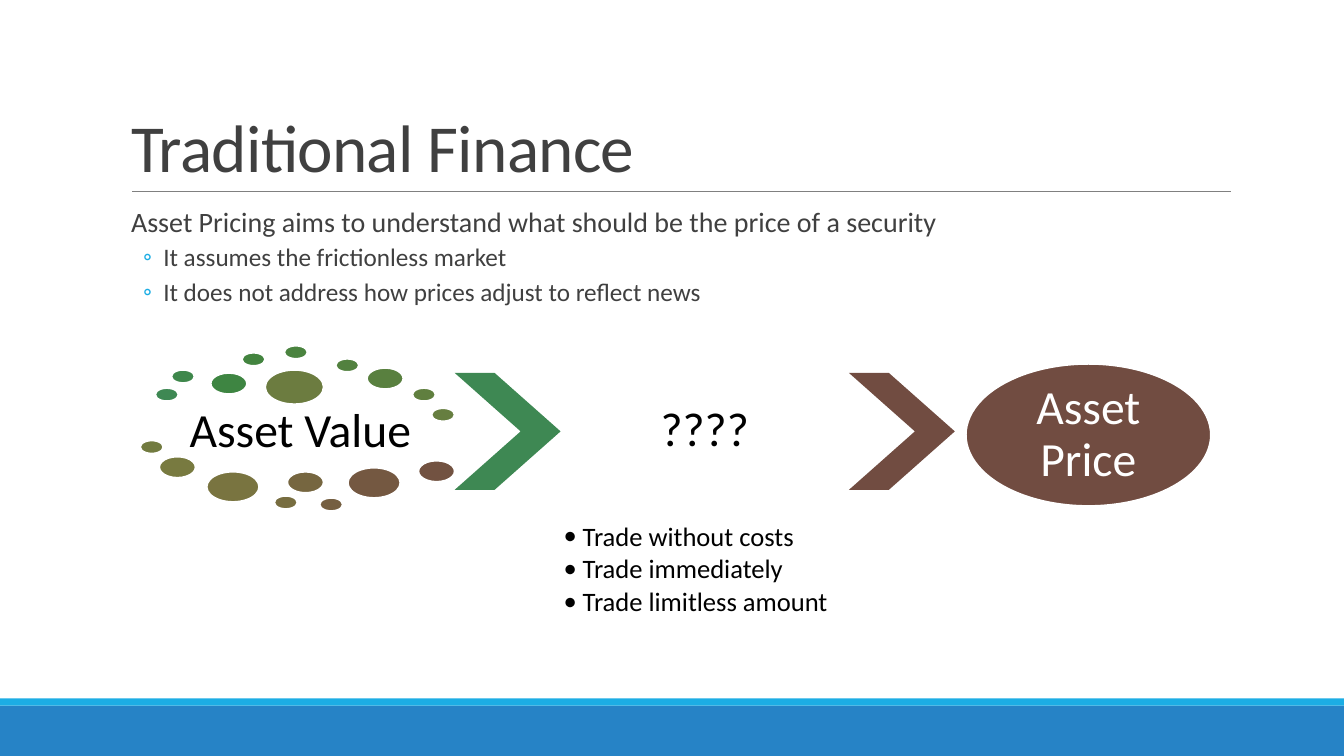
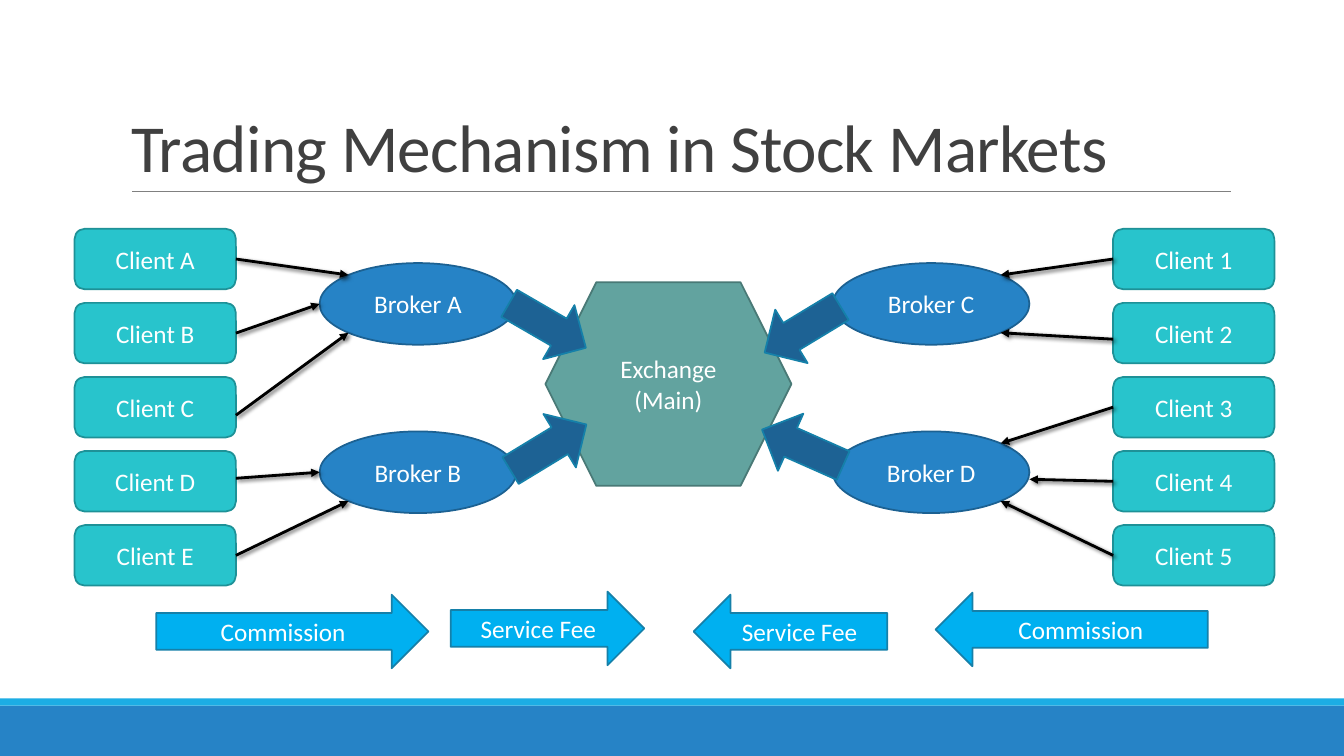
from collections import namedtuple
from math import sqrt

from lxml import etree
from pptx import Presentation
from pptx.dml.color import RGBColor
from pptx.enum import shapes as kinds, text as layout
from pptx.oxml import ns
from pptx.util import Inches, Pt

Box = namedtuple("Box", "x y w h")
KIND = kinds.MSO_SHAPE
ALIGN = layout.PP_ALIGN
ANCHOR = layout.MSO_ANCHOR

PAGE = Box(0, 0, 13.33, 7.5)
CONTENT = Box(1.2, 2.02, 11, 4.4)
FONT = "Calibri"
BLUE, SKY, GREY, INK = "2683C6", "1CADE4", "808080", "404040"
BLACK, WHITE, GREEN, BROWN = "000000", "FFFFFF", "3E8853", "714C41"
ARROW_EDGE = "1580A9"
CENTRED = dict(alignment=ALIGN.CENTER)
TIGHT = dict(alignment=ALIGN.CENTER, line_spacing=0.9)

DOT_SIZES = dict(s=(0.23, 0.13), m=(0.36, 0.21), l=(0.52, 0.3), xl=(0.58, 0.34))
DOTS = [
    (0.15, 0.42, "s", "3E8853"), (0.31, 0.24, "s", "3E874B"),
    (0.7, 0.27, "m", "3E8542"), (1.01, 0.07, "s", "43843F"),
    (1.43, 0, "s", "4A833F"), (1.94, 0.13, "s", "52813F"),
    (2.25, 0.22, "m", "59803F"), (2.7, 0.42, "s", "607F3F"),
    (2.89, 0.62, "s", "667E40"), (1.24, 0.24, "xl", "6C7C40"),
    (0, 0.94, "s", "727B40"), (0.19, 1.1, "m", "787A40"),
    (0.66, 1.25, "l", "797440"), (1.33, 1.49, "s", "776D40"),
    (1.46, 1.25, "m", "766640"), (1.78, 1.51, "s", "755F41"),
    (2.06, 1.21, "l", "745841"), (2.76, 1.14, "m", "725241"),
]


def colour(hex_code):
    return RGBColor.from_string(hex_code)


def inside(box, x, y, w, h):
    return Box(box.x + x, box.y + y, w, h)


def lengths(box):
    return [Inches(value) for value in box]


def apply(target, values):
    for key, value in values.items():
        setattr(target, key, value)


def write(holder, lines, size, ink=WHITE, anchor=ANCHOR.MIDDLE, inset=(0.1, 0.05), style=CENTRED):
    frame = holder.text_frame
    across, down = map(Inches, inset)
    apply(frame, dict(word_wrap=True, auto_size=layout.MSO_AUTO_SIZE.NONE,
                      vertical_anchor=anchor, margin_left=across,
                      margin_right=across, margin_top=down, margin_bottom=down))
    for index, line in enumerate(lines):
        paragraph = frame.paragraphs[0] if index == 0 else frame.add_paragraph()
        apply(paragraph, style)
        run = paragraph.add_run()
        run.text = line
        apply(run.font, dict(name=FONT, size=Pt(size)))
        run.font.color.rgb = colour(ink)
    return frame.paragraphs


def bullet(paragraph, sign, left, hang, ink):
    paragraph.level = 1
    props = paragraph._p.get_or_add_pPr()
    props.set("marL", str(Inches(left)))
    props.set("indent", str(-Inches(hang)))
    tint = etree.SubElement(props, ns.qn("a:buClr"))
    etree.SubElement(tint, ns.qn("a:srgbClr"), val=ink)
    etree.SubElement(props, ns.qn("a:buFont"), typeface=FONT)
    etree.SubElement(props, ns.qn("a:buChar"), char=sign)


def draw(canvas, kind, box, fill, edge=None, label=(), size=18, **text_format):
    part = canvas.add_shape(kind, *lengths(box))
    part.shadow.inherit = False
    part.fill.solid()
    part.fill.fore_color.rgb = colour(fill)
    if edge:
        part.line.color.rgb = colour(edge)
        part.line.width = Pt(1.25)
    else:
        part.line.fill.background()
    if label:
        write(part, label, size, **text_format)
    return part


def connect(canvas, start, end, ink, width):
    link = canvas.add_connector(kinds.MSO_CONNECTOR.STRAIGHT,
                                *map(Inches, (*start, *end)))
    link.line.color.rgb = colour(ink)
    link.line.width = Pt(width)
    effects = etree.SubElement(link.element.spPr, ns.qn("a:effectLst"))
    return link, effects


def shadowed_arrow(canvas, start, end):
    link, effects = connect(canvas, start, end, BLACK, 2)
    etree.SubElement(link.get_or_add_ln(), ns.qn("a:tailEnd"), type="triangle")
    shadow = etree.SubElement(effects, ns.qn("a:outerShdw"), blurRad=str(Pt(3)),
                              dist=str(Pt(2)), dir="2700000", rotWithShape="0")
    tint = etree.SubElement(shadow, ns.qn("a:srgbClr"), val=BLACK)
    etree.SubElement(tint, ns.qn("a:alpha"), val="60000")
    return link


def titled_slide(deck, heading):
    slide = deck.slides.add_slide(deck.slide_layouts[5])
    draw(slide.shapes, KIND.RECTANGLE, inside(PAGE, 0, 7, PAGE.w, 0.5), BLUE)
    draw(slide.shapes, KIND.RECTANGLE, inside(PAGE, 0, 6.93, PAGE.w, 0.07), SKY)
    connect(slide.shapes, (1.31, 1.9), (12.21, 1.9), GREY, 0.5)
    title = slide.shapes.title
    left, top, width, height = lengths(Box(1.2, 0.31, 11, 1.59))
    apply(title, dict(left=left, top=top, width=width, height=height))
    lines = write(title, [heading], 48, INK, ANCHOR.BOTTOM,
                  style=dict(alignment=ALIGN.LEFT, line_spacing=0.85))
    lines[0].runs[0].font._element.set("spc", "-50")
    return slide


def outline(canvas, box, lead, points):
    body = canvas.add_textbox(*lengths(box))
    lines = write(body, [lead, *points], 20, INK, ANCHOR.TOP, (0, 0.05),
                  dict(alignment=ALIGN.LEFT, line_spacing=0.9))
    lines[0].space_after = Pt(2)
    lines[0]._p.get_or_add_pPr().set("marL", str(Inches(0.1)))
    for point in lines[1:]:
        apply(point, dict(space_before=Pt(2), space_after=Pt(4)))
        point.runs[0].font.size = Pt(18)
        bullet(point, "◦", 0.42, 0.2, SKY)


def stage_label(canvas, box, label):
    write(canvas.add_textbox(*lengths(box)), [label], 34, BLACK,
          inset=(0.05, 0.05), style=TIGHT)


def value_cloud(canvas, box):
    stage_label(canvas, inside(box, 0.16, 0.59, 2.86, 0.54), "Asset Value")
    for x, y, size, fill in DOTS:
        draw(canvas, KIND.OVAL, inside(box, x, y, *DOT_SIZES[size]), fill, WHITE)


def pricing_process(canvas, box):
    value_cloud(canvas, inside(box, 0, 0, 3.12, 1.64))
    for x, fill in ((3.12, GREEN), (7.03, BROWN)):
        chevron = draw(canvas, KIND.CHEVRON, inside(box, x, 0.27, 1.05, 1.16), fill)
        chevron.adjustments[0] = 0.623
    stage_label(canvas, inside(box, 4.17, 0.27, 2.86, 1.16), "????")
    notes = canvas.add_textbox(*lengths(inside(box, 4.17, 1.73, 2.86, 1.02)))
    for line in write(notes, ["Trade without costs", "Trade immediately",
                              "Trade limitless amount"],
                      19, BLACK, ANCHOR.TOP, (0.03, 0.03),
                      dict(line_spacing=0.9, space_after=Pt(2.85))):
        bullet(line, "•", 0.19, 0.19, BLACK)
    draw(canvas, KIND.OVAL, inside(box, 8.19, 0.18, 2.43, 1.41), BROWN, WHITE,
         ["Asset Price"], 34, inset=(0, 0), style=TIGHT)


def client_column(canvas, box, names):
    height = 0.6
    pitch = (box.h - height) / (len(names) - 1)
    return [(draw(canvas, KIND.ROUNDED_RECTANGLE, place, "28C4CC", "1E9197",
                  [f"Client {name}"]), place)
            for row, name in enumerate(names)
            for place in [inside(box, 0, row * pitch, box.w, height)]]


def broker_column(canvas, box, names):
    places = [inside(box, 0, row * 1.67, box.w, 0.81) for row in range(len(names))]
    for place, name in zip(places, names):
        draw(canvas, KIND.OVAL, place, BLUE, "1C6192", [f"Broker {name}"])
    return places


def link_orders(canvas, clients, brokers, routes, side):
    for (client, place), (broker, port, start_shift, end_shift) in zip(clients, routes):
        oval = brokers[broker]
        reach = 1 / sqrt(2) if port else 1
        start = (place.x + (place.w if side < 0 else 0),
                 place.y + place.h / 2 + start_shift)
        end = (oval.x + oval.w / 2 + side * reach * oval.w / 2,
               oval.y + oval.h / 2 + port * reach * oval.h / 2 + end_shift)
        link = shadowed_arrow(canvas, start, end)
        if not start_shift:
            link.begin_connect(client, 3 if side < 0 else 1)


def market_map(canvas, box):
    client_w, broker_w, broker_x = 1.6, 1.95, 2.43
    sides = [
        (-1, 0, broker_x, "ABCDE", "AB",
         [(0, -1, 0, 0), (0, 0, 0, 0), (0, 1, 0.08, 0),
          (1, 0, -0.03, 0), (1, 1, 0, 0)]),
        (1, box.w - client_w, box.w - broker_x - broker_w, "12345", "CD",
         [(0, -1, 0, 0), (0, 1, 0.06, 0), (1, -1, 0, 0),
          (1, 0, 0, 0.07), (1, 1, 0, 0)]),
    ]
    orders = []
    for side, client_x, oval_x, client_names, broker_names, routes in sides:
        clients = client_column(canvas, inside(box, client_x, 0, client_w, box.h),
                                client_names)
        brokers = broker_column(canvas, inside(box, oval_x, 0.34, broker_w, 2.48),
                                broker_names)
        orders.append((clients, brokers, routes, side))
    draw(canvas, KIND.HEXAGON, inside(box, 4.67, 0.53, 2.44, 2.02), "62A39F",
         "497976", ["Exchange", "(Main)"])
    for order in orders:
        link_orders(canvas, *order)
    for x, y, angle in ((4.25, 0.65, 30.1), (4.26, 1.86, 328.7),
                        (6.78, 0.69, 148.8), (6.78, 1.86, 203.9)):
        flow = draw(canvas, KIND.RIGHT_ARROW, inside(box, x, y, 0.88, 0.62),
                    "1D6294", ARROW_EDGE)
        flow.rotation = angle


def fee_arrows(canvas, box):
    for kind, x, y, width, label in (
            (KIND.RIGHT_ARROW, 0, 0.03, 2.7, "Commission"),
            (KIND.LEFT_ARROW, 7.73, 0.01, 2.7, "Commission"),
            (KIND.RIGHT_ARROW, 2.92, 0, 1.92, "Service Fee"),
            (KIND.LEFT_ARROW, 5.33, 0.03, 1.92, "Service Fee")):
        draw(canvas, kind, inside(box, x, y, width, 0.73), "00B0F0", ARROW_EDGE, [label])


def traditional_finance(deck):
    slide = titled_slide(deck, "Traditional Finance")
    outline(slide.shapes, CONTENT,
            "Asset Pricing aims to understand what should be the price of a security",
            ["It assumes the frictionless market",
             "It does not address how prices adjust to reflect news"])
    process = slide.shapes.add_group_shape()
    pricing_process(process.shapes, Box(1.39, 3.43, 10.62, 2.75))


def trading_mechanism(deck):
    slide = titled_slide(deck, "Trading Mechanism in Stock Markets")
    market_map(slide.shapes, Box(0.74, 2.27, 11.9, 3.54))
    fee_arrows(slide.shapes, Box(1.55, 5.87, 10.43, 0.76))


def main():
    deck = Presentation()
    apply(deck, dict(slide_width=Inches(PAGE.w), slide_height=Inches(PAGE.h)))
    traditional_finance(deck)
    trading_mechanism(deck)
    deck.save("out.pptx")


if __name__ == "__main__":
    main()
